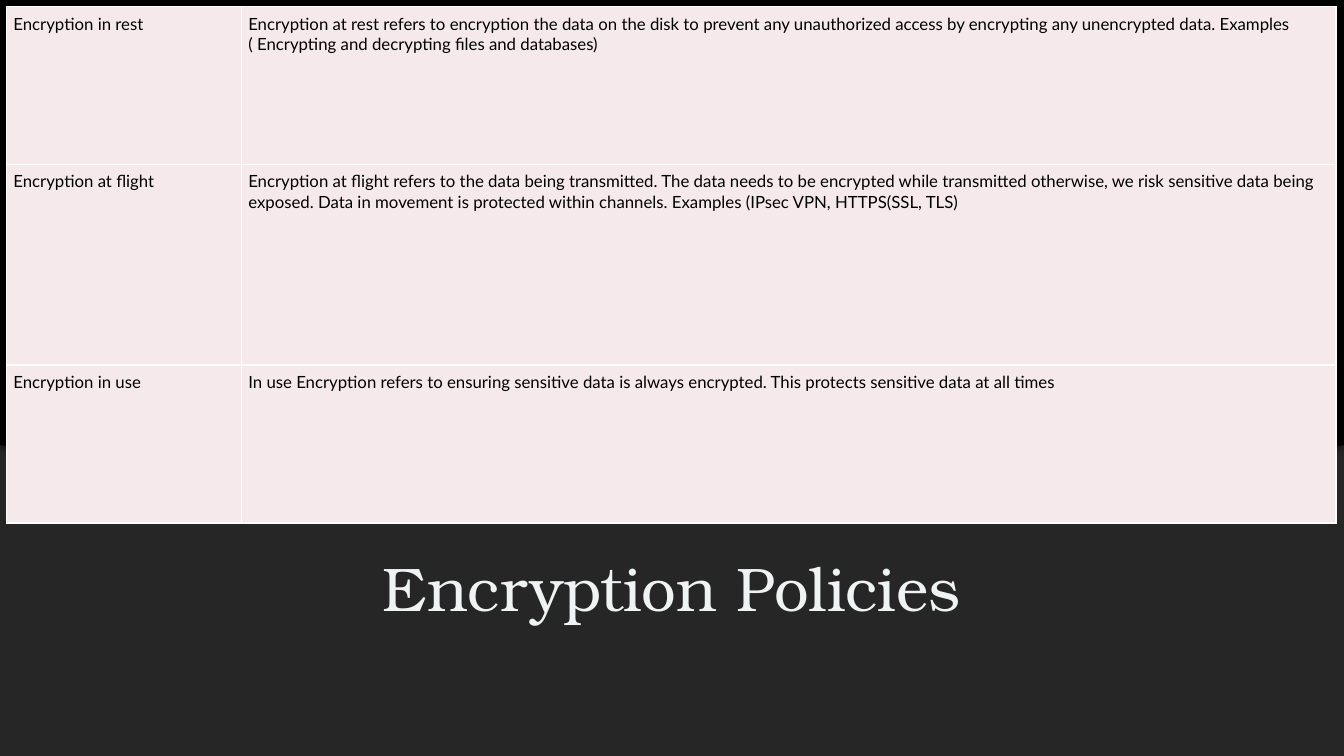
from lxml import etree
from pptx import Presentation
from pptx.dml.color import RGBColor
from pptx.enum.shapes import MSO_SHAPE as Shape
from pptx.enum.text import MSO_ANCHOR as Anchor, PP_ALIGN as Align
from pptx.oxml import parse_xml
from pptx.oxml.ns import nsdecls, qn
from pptx.util import Pt

BLACK = RGBColor(0x00, 0x00, 0x00)
CHARCOAL = RGBColor(0x26, 0x26, 0x26)
OUTLINE = RGBColor(0x40, 0x40, 0x40)
MIST = RGBColor(0xF0, 0xF3, 0xF3)
BLUSH = RGBColor(0xF5, 0xE9, 0xEB)
WHITE = RGBColor(0xFF, 0xFF, 0xFF)

WIDTH, HEIGHT = 960, 540
COLUMN_WIDTHS = [167.8, 781.9]
ROW_HEIGHTS = [112.8, 143.4, 112.8]
POLICIES = [
    ("Encryption in rest",
     "Encryption at rest refers to encryption the data on the disk to prevent any "
     "unauthorized access by encrypting any unencrypted data. Examples "
     "( Encrypting and decrypting files and databases)"),
    ("Encryption at flight",
     "Encryption at flight refers to the data being transmitted. The data needs to be "
     "encrypted while transmitted otherwise, we risk sensitive data being exposed. "
     "Data in movement is protected within channels. Examples (IPsec VPN, HTTPS(SSL, TLS)"),
    ("Encryption in use",
     "In use Encryption refers to ensuring sensitive data is always encrypted. "
     "This protects sensitive data at all times"),
]


def shadow_xml(blur, distance, angle, opacity):
    return parse_xml(
        f'<a:effectLst {nsdecls("a")}><a:outerShdw blurRad="{Pt(blur)}" dist="{Pt(distance)}" '
        f'dir="{angle * 60000}" algn="tl" rotWithShape="0"><a:srgbClr val="{BLACK}">'
        f'<a:alpha val="{opacity * 1000}"/></a:srgbClr></a:outerShdw></a:effectLst>')


def paint(shape, color):
    shape.shadow.inherit = False
    shape.fill.solid()
    shape.fill.fore_color.rgb = color
    shape.line.fill.background()


def add_backdrop(page, left, top, width, height):
    backdrop = page.shapes.add_shape(Shape.RECTANGLE, Pt(left), Pt(top), Pt(width), Pt(height))
    paint(backdrop, CHARCOAL)
    page.shapes.title.element.addprevious(backdrop.element)


def add_curved_panel(page, left, top, width, height):
    shoulder, steps = height - 41, 40
    builder = page.shapes.build_freeform(Pt(left), Pt(top))
    points = [(left + width, top)]
    for step in range(steps + 1):
        offset = 1 - 2 * step / steps
        x = left + width * (1 + offset) / 2
        points.append((x, top + shoulder + 41 * (1 - offset ** 2)))
    builder.add_line_segments([(Pt(x), Pt(y)) for x, y in points], close=True)
    panel = builder.convert_to_shape()
    paint(panel, BLACK)
    properties = panel.element.spPr
    properties.replace(properties.find(qn("a:effectLst")), shadow_xml(4, 3, 90, 40))


def format_title(page, left, top, width, height):
    title = page.shapes.title
    title.left, title.top, title.width, title.height = Pt(left), Pt(top), Pt(width), Pt(height)
    frame = title.text_frame
    frame.text = "Encryption Policies"
    frame.word_wrap = True
    frame.vertical_anchor = Anchor.MIDDLE
    para = frame.paragraphs[0]
    para.alignment = Align.CENTER
    span = para.runs[0]
    span.font.name = "TeX Gyre Bonum"
    span.font.size = Pt(44)
    span.font.color.rgb = MIST
    style = span.font.fill
    style.solid()
    style.fore_color.rgb = MIST
    properties = span.font.color and para.runs[0]._r.get_or_add_rPr()
    properties.insert(0, parse_xml(
        f'<a:ln {nsdecls("a")} w="{Pt(0.75)}"><a:solidFill><a:srgbClr val="{OUTLINE}">'
        f'<a:alpha val="10000"/></a:srgbClr></a:solidFill></a:ln>'))
    properties.find(qn("a:solidFill")).addnext(shadow_xml(3, 2, 45, 60))


def add_borders(cell):
    properties = cell._tc.get_or_add_tcPr()
    for index, side in enumerate(("lnL", "lnR", "lnT", "lnB")):
        border = parse_xml(
            f'<a:{side} {nsdecls("a")} w="{Pt(1)}"><a:solidFill>'
            f'<a:srgbClr val="{WHITE}"/></a:solidFill></a:{side}>')
        properties.insert(index, border)


def fill_cell(cell, text):
    cell.margin_left = cell.margin_right = cell.margin_top = cell.margin_bottom = Pt(5)
    cell.fill.solid()
    cell.fill.fore_color.rgb = BLUSH
    add_borders(cell)
    cell.text = text
    font = cell.text_frame.paragraphs[0].font
    font.name = "Lato"
    font.size = Pt(12)
    font.color.rgb = BLACK


def add_policy_table(page, left, top):
    frame = page.shapes.add_table(len(POLICIES), len(COLUMN_WIDTHS), Pt(left), Pt(top),
                                  Pt(sum(COLUMN_WIDTHS)), Pt(sum(ROW_HEIGHTS)))
    table = frame.table
    table.first_row = table.horz_banding = False
    for column, width in zip(table.columns, COLUMN_WIDTHS):
        column.width = Pt(width)
    for row, height, texts in zip(table.rows, ROW_HEIGHTS, POLICIES):
        row.height = Pt(height)
        for cell, text in zip(row.cells, texts):
            fill_cell(cell, text)


def build_policy_slide(deck):
    page = deck.slides.add_slide(deck.slide_layouts[5])
    page.background.fill.solid()
    page.background.fill.fore_color.rgb = BLACK
    add_backdrop(page, 0, 0, WIDTH, HEIGHT)
    format_title(page, 72.5, 373.5, 815, 91.5)
    add_curved_panel(page, 0, 0, WIDTH, 359)
    add_policy_table(page, 4.6, 4.6)


def main():
    deck = Presentation()
    deck.slide_width, deck.slide_height = Pt(WIDTH), Pt(HEIGHT)
    build_policy_slide(deck)
    deck.save("out.pptx")


if __name__ == "__main__":
    main()
